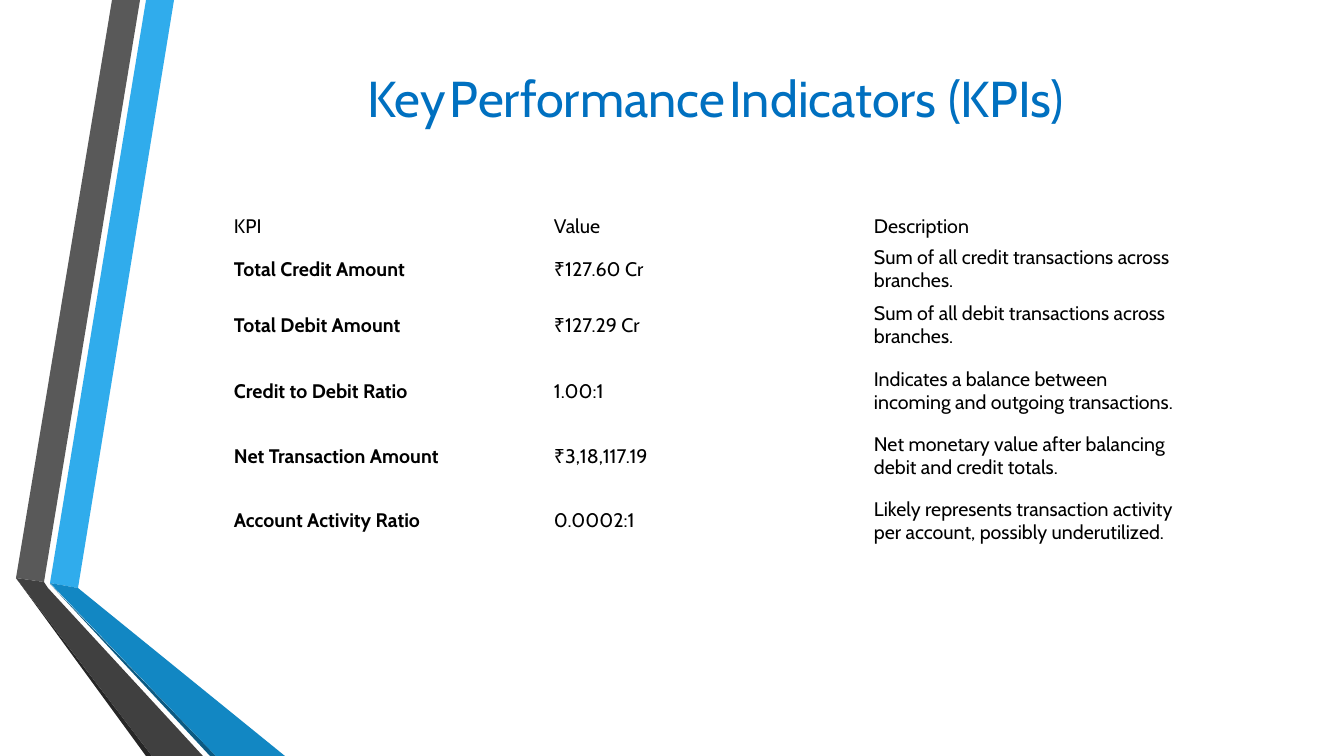
from dataclasses import dataclass

from pptx import Presentation
from pptx.dml.color import RGBColor
from pptx.enum.text import MSO_ANCHOR, PP_ALIGN
from pptx.util import Pt

MIDDLE = MSO_ANCHOR.MIDDLE
CENTER = PP_ALIGN.CENTER
LEFT = PP_ALIGN.LEFT


@dataclass(frozen=True)
class Theme:
    font: str = "Cabin"
    title: str = "0070C0"
    text: str = "000000"
    sky: str = "30ACEC"
    blue: str = "1287C3"
    navy: str = "0C5A82"
    gray: str = "595959"
    charcoal: str = "404040"
    shadow: str = "262626"
    title_size: int = 36
    body_size: int = 14


THEME = Theme()
SLIDE_SIZE = (1344, 756)

# Ribbon facets from back to front: colour and corner points in px
RIBBONS = [
    (THEME.sky, [(50, 583), (78, 588), (174, 0), (146, 0)]),
    (THEME.gray, [(140, 0), (112, 0), (16, 578), (44, 582)]),
    (THEME.shadow, [(16, 578), (146, 756), (152, 756)]),
    (THEME.navy, [(50, 584), (210, 756), (216, 756)]),
    (THEME.blue, [(50, 583), (216, 756), (285, 756), (78, 588)]),
    (THEME.charcoal, [(203, 756), (48, 588), (44, 582), (16, 578), (152, 756)]),
]

TITLE_BOX = (163, 0, 1105, 194)
TITLE_WORDS = ["Key", "Performance", "Indicators (KPIs)"]

TABLE_ORIGIN = (226, 211)
COLUMN_WIDTH = 320
ROW_HEIGHTS = [30, 56, 56, 76, 54, 76]
CELL_INSETS = (8, 3)
KPIS = [
    ("KPI", "Value", "Description"),
    ("Total Credit Amount", "₹127.60 Cr",
     "Sum of all credit transactions across branches."),
    ("Total Debit Amount", "₹127.29 Cr",
     "Sum of all debit transactions across branches."),
    ("Credit to Debit Ratio", "1.00:1",
     "Indicates a balance between incoming and outgoing transactions."),
    ("Net Transaction Amount", "₹3,18,117.19",
     "Net monetary value after balancing debit and credit totals."),
    ("Account Activity Ratio", "0.0002:1",
     "Likely represents transaction activity per account, possibly underutilized."),
]

EMU_PER_PX = 914400 / 100.8


def px(length):
    return round(length * EMU_PER_PX)


def add_span(para, text, size, color, bold=False):
    span = para.add_run()
    span.text = text
    span.font.name = THEME.font
    span.font.size = Pt(size)
    span.font.bold = bold
    span.font.color.rgb = RGBColor.from_string(color)


def add_ribbon(slide, color, points):
    builder = slide.shapes.build_freeform(*points[0], scale=EMU_PER_PX)
    builder.add_line_segments(points[1:], close=True)
    ribbon = builder.convert_to_shape()
    ribbon.shadow.inherit = False
    ribbon.fill.solid()
    ribbon.fill.fore_color.rgb = RGBColor.from_string(color)
    ribbon.line.fill.background()


def add_title(slide):
    """Sets the words large, parted by body-size spaces."""
    box = slide.shapes.add_textbox(*map(px, TITLE_BOX))
    frame = box.text_frame
    frame.word_wrap = True
    frame.vertical_anchor = MIDDLE
    para = frame.paragraphs[0]
    para.alignment = CENTER
    for index, word in enumerate(TITLE_WORDS):
        if index:
            add_span(para, " ", THEME.body_size, THEME.text)
        add_span(para, word, THEME.title_size, THEME.title)


def fill_cell(cell, text, bold):
    cell.fill.background()
    cell.vertical_anchor = MIDDLE
    side, end = map(px, CELL_INSETS)
    cell.margin_left = cell.margin_right = side
    cell.margin_top = cell.margin_bottom = end
    para = cell.text_frame.paragraphs[0]
    para.alignment = LEFT
    add_span(para, text, THEME.body_size, THEME.text, bold)


def add_kpi_table(slide):
    columns = len(KPIS[0])
    size = (columns * COLUMN_WIDTH, sum(ROW_HEIGHTS))
    frame = slide.shapes.add_table(
        len(KPIS), columns, *map(px, TABLE_ORIGIN + size))
    table = frame.table
    table.first_row = False
    table.horz_banding = False
    for column in table.columns:
        column.width = px(COLUMN_WIDTH)
    for row_index, (row, height, texts) in enumerate(
            zip(table.rows, ROW_HEIGHTS, KPIS)):
        row.height = px(height)
        for column_index, (cell, text) in enumerate(zip(row.cells, texts)):
            fill_cell(cell, text, bold=row_index > 0 and column_index == 0)


def main():
    deck = Presentation()
    deck.slide_width, deck.slide_height = map(px, SLIDE_SIZE)
    slide = deck.slides.add_slide(deck.slide_layouts[6])
    for color, points in RIBBONS:
        add_ribbon(slide, color, points)
    add_title(slide)
    add_kpi_table(slide)
    deck.save("out.pptx")


if __name__ == "__main__":
    main()
